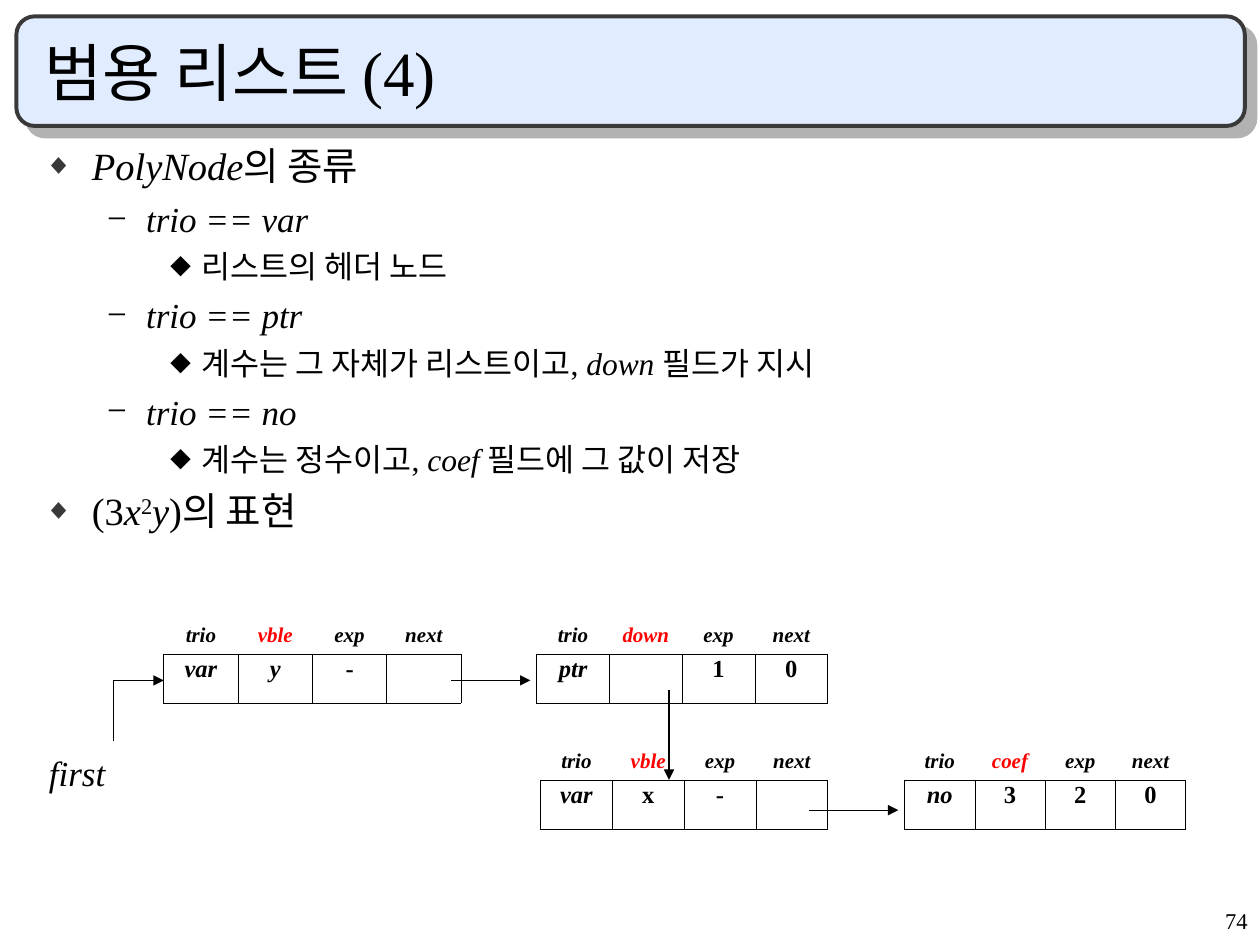
from dataclasses import dataclass

from lxml import etree
from pptx import Presentation
from pptx.dml.color import RGBColor
from pptx.enum.shapes import MSO_CONNECTOR, MSO_SHAPE
from pptx.enum.text import MSO_ANCHOR, MSO_AUTO_SIZE, PP_ALIGN
from pptx.oxml.ns import qn
from pptx.util import Inches, Pt

LEFT, CENTER, RIGHT, JUSTIFY = PP_ALIGN.LEFT, PP_ALIGN.CENTER, PP_ALIGN.RIGHT, PP_ALIGN.JUSTIFY
STRAIGHT = MSO_CONNECTOR.STRAIGHT
ROUNDED = MSO_SHAPE.ROUNDED_RECTANGLE


@dataclass(frozen=True)
class Theme:
    """Colours, type sizes and font of the slide."""
    font: str = "Times New Roman"
    ink: str = "000000"
    accent: str = "FF0000"
    frame: str = "393939"
    banner: str = "E1ECFF"
    shadow: str = "B2B2B2"
    title: float = 36
    pointer: float = 20
    field: float = 12
    value: float = 14
    page: float = 12.9


@dataclass(frozen=True)
class Level:
    """Format of one outline level."""
    size: float
    before: float
    margin: float
    hanging: float
    bullet: str
    color: str
    scale: int = 100


THEME = Theme()
LEVELS = (
    Level(22, 5.5, 0.38, 0.38, "◆", THEME.frame, 75),
    Level(20, 5, 0.81, 0.31, "−", THEME.ink),
    Level(18, 4.5, 1.25, 0.25, "⬥", THEME.ink),
)
OUTLINE = (
    (0, [("PolyNode", True), ("의 종류", False)]),
    (1, [("trio == var", True)]),
    (2, [("리스트의 헤더 노드", False)]),
    (1, [("trio == ptr", True)]),
    (2, [("계수는 그 자체가 리스트이고, ", False), ("down ", True), ("필드가 지시", False)]),
    (1, [("trio == no", True)]),
    (2, [("계수는 정수이고, ", False), ("coef ", True), ("필드에 그 값이 저장", False)]),
    (0, [("(3", False), ("x", True), ("2", False, 30), ("y", True), (")의 표현", False)]),
)
NODES = (
    ((1.3, 4.93, 2.36, 0.65), "vble", ("var", "y", "-", ""), 2),
    ((4.26, 4.93, 2.31, 0.65), "down", ("ptr", "", "1", "0"), 1),
    ((4.29, 5.93, 2.28, 0.65), "vble", ("var", "x", "-", ""), 1),
    ((7.18, 5.93, 2.23, 0.65), "coef", ("no", "3", "2", "0"), 1),
)
LINKS = (
    ((0.9, 5.4), (1.3, 5.4), True),
    ((0.9, 5.4), (0.9, 5.88), False),
    ((5.31, 5.48), (5.31, 6.19), True),
    ((6.42, 6.43), (7.13, 6.43), True),
    ((3.58, 5.4), (4.21, 5.4), True),
)


def inches(box):
    """Turn plain numbers into lengths."""
    return [Inches(length) for length in box]


def add_node(parent, tag, **attributes):
    """Append a DrawingML element."""
    return etree.SubElement(parent, qn(f"a:{tag}"), {key: str(val) for key, val in attributes.items()})


def write(paragraph, text, size, color=THEME.ink, bold=False, italic=False,
          raised=0, align=None, spacing=None, before=None):
    """Add one formatted run and set the given paragraph format."""
    run = paragraph.add_run()
    run.text = text
    run.font.name, run.font.size = THEME.font, Pt(size)
    run.font.bold, run.font.italic = bold, italic
    run.font.color.rgb = RGBColor.from_string(color)
    if raised:
        run._r.get_or_add_rPr().set("baseline", str(raised * 1000))
    if align is not None:
        paragraph.alignment = align
    if spacing is not None:
        paragraph.line_spacing = spacing
    if before is not None:
        paragraph.space_before = Pt(before)


def place(placeholder, box, anchor):
    """Move a placeholder and return its text frame."""
    placeholder.left, placeholder.top, placeholder.width, placeholder.height = inches(box)
    frame = placeholder.text_frame
    frame.auto_size, frame.vertical_anchor = MSO_AUTO_SIZE.NONE, anchor
    return frame


def draw_banner(slide, box):
    """Draw the shadowed title panel behind everything else."""
    panel = slide.shapes.add_shape(ROUNDED, *inches(box))
    panel.adjustments[0] = 0.167
    panel.fill.solid()
    panel.fill.fore_color.rgb = RGBColor.from_string(THEME.banner)
    panel.line.color.rgb = RGBColor.from_string(THEME.frame)
    panel.line.width = Pt(2.25)
    effects = add_node(panel._element.spPr, "effectLst")
    shadow = add_node(effects, "outerShdw", blurRad=0, dist=Pt(8.5), dir=45 * 60000,
                      algn="tl", rotWithShape=0)
    add_node(shadow, "srgbClr", val=THEME.shadow)
    slide.shapes._spTree.insert(2, panel._element)


def write_title(slide, box):
    """Fill the title placeholder."""
    frame = place(slide.shapes.title, box, MSO_ANCHOR.BOTTOM)
    write(frame.paragraphs[0], "범용 리스트 (4)", THEME.title, align=LEFT)


def write_outline(slide, box):
    """Fill the body placeholder with the bulleted outline."""
    frame = place(slide.placeholders[1], box, MSO_ANCHOR.TOP)
    for index, (depth, segments) in enumerate(OUTLINE):
        paragraph = frame.add_paragraph() if index else frame.paragraphs[0]
        level = LEVELS[depth]
        paragraph.level = depth
        for text, italic, *raised in segments:
            write(paragraph, text, level.size, italic=italic, raised=sum(raised),
                  align=JUSTIFY, before=level.before)
        properties = paragraph._p.get_or_add_pPr()
        properties.set("marL", str(Inches(level.margin)))
        properties.set("indent", str(-Inches(level.hanging)))
        add_node(add_node(properties, "buClr"), "srgbClr", val=level.color)
        add_node(properties, "buSzPct", val=level.scale * 1000)
        add_node(properties, "buFont", typeface=THEME.font)
        add_node(properties, "buChar", char=level.bullet)


def draw_borders(cell, sides):
    """Give the named sides of a cell a thin line."""
    properties = cell._tc.get_or_add_tcPr()
    for position, side in enumerate(sides):
        line = add_node(properties, f"ln{side}", w=Pt(0.45))
        add_node(add_node(line, "solidFill"), "srgbClr", val=THEME.ink)
        properties.insert(position, line)


def draw_list_node(slide, box, link_field, values, italic_count):
    """Draw one list node as field names above boxed values."""
    table = slide.shapes.add_table(2, len(values), *inches(box)).table
    table.first_row = table.horz_banding = False
    table.rows[0].height, table.rows[1].height = Inches(0.26), Inches(0.39)
    fields = ("trio", link_field, "exp", "next")
    for column, (field, value) in enumerate(zip(fields, values)):
        heading, content = table.cell(0, column), table.cell(1, column)
        write(heading.text_frame.paragraphs[0], field, THEME.field, bold=True, italic=True,
              color=THEME.accent if field == link_field else THEME.ink,
              align=CENTER, spacing=0.8, before=3)
        write(content.text_frame.paragraphs[0], value, THEME.value, bold=True,
              italic=column < italic_count, align=CENTER, spacing=0.8, before=3.5)
        for cell, sides in ((heading, "B"), (content, "LRTB")):
            cell.fill.background()
            draw_borders(cell, sides)


def draw_link(slide, start, end, arrow):
    """Draw a pointer line, with an arrowhead if asked."""
    link = slide.shapes.add_connector(STRAIGHT, *inches(start + end))
    link.line.color.rgb = RGBColor.from_string(THEME.ink)
    link.line.width = Pt(0.75)
    if arrow:
        add_node(link.line._get_or_add_ln(), "tailEnd", type="triangle")
    add_node(link._element.spPr, "effectLst")


def write_label(slide, box, text, size, **style):
    """Add a short line of free text."""
    frame = slide.shapes.add_textbox(*inches(box)).text_frame
    frame.word_wrap = True
    write(frame.paragraphs[0], text, size, **style)


def main():
    """Build the slide and save it."""
    deck = Presentation()
    deck.slide_width, deck.slide_height = Inches(10), Inches(7.5)
    slide = deck.slides.add_slide(deck.slide_layouts[1])
    draw_banner(slide, (0.13, 0.13, 9.75, 0.87))
    write_title(slide, (0.25, 0.25, 9.42, 0.67))
    write_outline(slide, (0.25, 1.08, 9.5, 3.25))
    for node in NODES:
        draw_list_node(slide, *node)
    write_label(slide, (0.29, 5.98, 1.4, 0.37), "first", THEME.pointer,
                italic=True, spacing=0.8, before=5)
    for link in LINKS:
        draw_link(slide, *link)
    write_label(slide, (7.92, 7.17, 2.08, 0.33), "74", THEME.page,
                align=RIGHT, spacing=0.9, before=8.8)
    deck.save("out.pptx")


if __name__ == "__main__":
    main()
